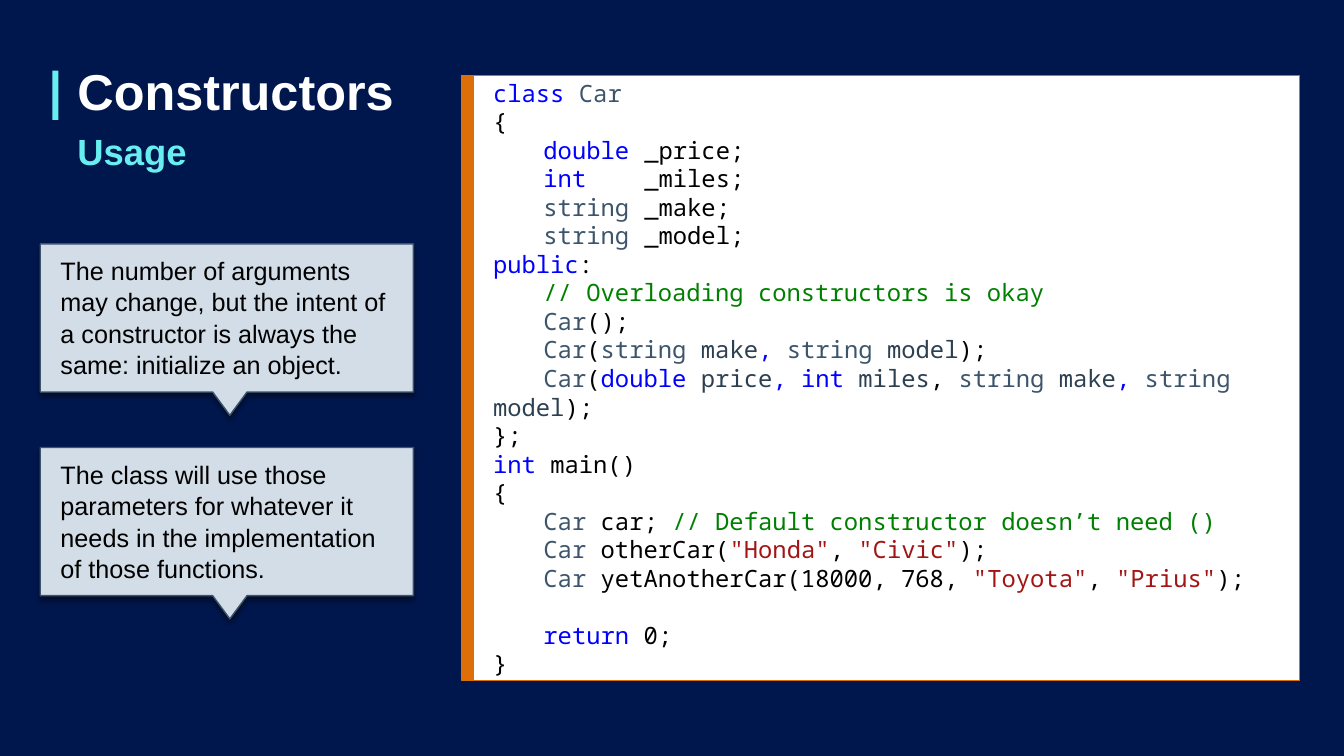
from lxml.etree import SubElement
from pptx import Presentation
from pptx.dml.color import RGBColor
from pptx.enum.shapes import MSO_SHAPE as Preset
from pptx.enum.text import MSO_ANCHOR as Anchor, PP_ALIGN as Align
from pptx.oxml.ns import qn
from pptx.util import Inches, Pt

# Grid: one cell is a tenth of an inch
COLUMNS, ROWS = 133.3, 75

COLORS = {
    "navy": "00174E", "aqua": "69EEF0", "white": "FFFFFF", "black": "000000",
    "orange": "DD6F08", "pale": "D3DDE7", "slate": "3C556C",
    "keyword": "0000FF", "type": "3C556C", "plain": "000000",
    "name": "2D4051", "comment": "008000", "string": "A31515",
}

FONTS = {
    "title": {"name": "Arial", "size": Pt(36), "bold": True},
    "subtitle": {"name": "Arial", "size": Pt(26), "bold": True},
    "callout": {"name": "Arial", "size": Pt(18)},
    "code": {"name": "Noto Sans Mono", "size": Pt(17)},
}
LINE_SPACING = {"title": 0.9, "subtitle": 0.9, "callout": 1.04, "code": Pt(20.4)}

HEADING_FRAME = {"word_wrap": True, "vertical_anchor": Anchor.MIDDLE}
CODE_FRAME = {**HEADING_FRAME, "margin_left": Inches(0.2), "margin_right": Inches(0.2),
              "margin_top": 0, "margin_bottom": 0}
CALLOUT_FRAME = {**CODE_FRAME, "margin_bottom": Inches(0.25)}

CODE_TABS = [Inches(0.5 * stop) for stop in (1, 2, 3)]

K, T, P, N, C, S = "keyword", "type", "plain", "name", "comment", "string"
CODE = [
    [(K, "class "), (T, "Car")],
    [(P, "{")],
    [(K, "\tdouble"), (P, "\t_price;")],
    [(K, "\tint"), (P, "\t\t_miles;")],
    [(T, "\tstring"), (P, "\t_make;")],
    [(T, "\tstring"), (P, "\t_model;")],
    [(K, "public"), (P, ":")],
    [(C, "\t// Overloading constructors is okay")],
    [(T, "\tCar"), (P, "();")],
    [(T, "\tCar"), (P, "("), (T, "string "), (N, "make"), (K, ", "),
     (T, "string "), (N, "model"), (P, ");")],
    [(T, "\tCar"), (P, "("), (K, "double "), (N, "price"), (K, ", int "),
     (N, "miles"), (P, ", "), (T, "string "), (N, "make"), (K, ", "),
     (T, "string "), (N, "model"), (P, ");")],
    [(P, "};")],
    [(K, "int"), (P, " main()")],
    [(P, "{")],
    [(T, "\tCar "), (P, "car; "), (C, "// Default constructor doesn’t need ()")],
    [(T, "\tCar "), (P, "otherCar("), (S, '"Honda"'), (P, ","),
     (S, ' "Civic"'), (P, ");")],
    [(T, "\tCar "), (P, "yetAnotherCar(18000, 768, "), (S, '"Toyota"'), (P, ","),
     (S, ' "Prius"'), (P, ");")],
    [(K, "\treturn"), (P, " 0;")],
    [(P, "}")],
]
RETURN_LINE = 17

CALLOUTS = [
    "The number of arguments may change, but the intent of a constructor "
    "is always the same: initialize an object.",
    "The class will use those parameters for whatever it needs in the "
    "implementation of those functions.",
]


def apply(target, values):
    for attribute, value in values.items():
        setattr(target, attribute, value)


def color(name):
    return RGBColor.from_string(COLORS[name])


class SlideBuilder:
    """Places styled elements on the current slide by grid cells."""

    def __init__(self, presentation):
        self.cell_width = presentation.slide_width / COLUMNS
        self.cell_height = presentation.slide_height / ROWS
        self.slide = presentation.slides.add_slide(presentation.slide_layouts[6])

    def point(self, column, row):
        return round(column * self.cell_width), round(row * self.cell_height)

    def background(self, fill):
        self.slide.background.fill.solid()
        self.slide.background.fill.fore_color.rgb = color(fill)

    def paint(self, shape, fill, line=None):
        shape.shadow.inherit = False
        shape.fill.solid()
        shape.fill.fore_color.rgb = color(fill)
        if line:
            shape.line.color.rgb = color(line)
            shape.line.width = Pt(1)
        else:
            shape.line.fill.background()

    def rectangle(self, column, row, columns, rows, fill, line=None):
        shape = self.slide.shapes.add_shape(
            Preset.RECTANGLE, *self.point(column, row), *self.point(columns, rows))
        self.paint(shape, fill, line)
        return shape

    def add_text(self, shape, lines, style, frame_format, tabs=(), gaps=None):
        frame = shape.text_frame
        apply(frame, frame_format)
        for index, line in enumerate(lines):
            paragraph = frame.add_paragraph() if index else frame.paragraphs[0]
            if tabs:
                tab_list = SubElement(paragraph._p.get_or_add_pPr(), qn("a:tabLst"))
                for stop in tabs:
                    SubElement(tab_list, qn("a:tab"), pos=str(stop), algn="l")
            paragraph.alignment = Align.LEFT
            paragraph.line_spacing = LINE_SPACING[style]
            if gaps and index in gaps:
                paragraph.space_before = gaps[index]
            for ink, text in line:
                run = paragraph.add_run()
                run.text = text
                apply(run.font, FONTS[style])
                run.font.color.rgb = color(ink)

    def heading(self, column, row, columns, rows, text, style, ink):
        box = self.slide.shapes.add_textbox(
            *self.point(column, row), *self.point(columns, rows))
        self.add_text(box, [[(ink, text)]], style, HEADING_FRAME)

    def callout(self, column, row, columns, rows, text):
        tip_rows, tip_half = 2.3, 1.7
        right, tip, base = column + columns, column + 18.8, row + rows - tip_rows
        corners = [(column, row), (right, row), (right, base), (tip + tip_half, base),
                   (tip, row + rows), (tip - tip_half, base), (column, base)]
        start, *others = [self.point(*corner) for corner in corners]
        builder = self.slide.shapes.build_freeform(*start)
        builder.add_line_segments(others, close=True)
        shape = builder.convert_to_shape()
        self.paint(shape, "pale", "slate")
        self.drop_shadow(shape)
        self.add_text(shape, [[("black", text)]], "callout", CALLOUT_FRAME)

    def drop_shadow(self, shape):
        effects = shape._element.spPr.find(qn("a:effectLst"))
        shadow = SubElement(effects, qn("a:outerShdw"), blurRad=str(Pt(4)),
                            dist=str(Pt(3)), dir="5400000", rotWithShape="0")
        ink = SubElement(shadow, qn("a:srgbClr"), val=COLORS["black"])
        SubElement(ink, qn("a:alpha"), val="40000")


def main():
    presentation = Presentation()
    presentation.slide_width, presentation.slide_height = Inches(13.33), Inches(7.5)
    builder = SlideBuilder(presentation)
    builder.background("navy")

    # Heading
    builder.rectangle(5.2, 7, 0.6, 4.9, "aqua")
    builder.heading(6.7, 6.1, 119, 6.5, "Constructors", "title", "white")
    builder.heading(6.7, 12.8, 119, 4.9, "Usage", "subtitle", "aqua")

    # Code panel; the gap stands for the empty line before return
    panel = builder.rectangle(46.9, 7.5, 82, 60, "white", "orange")
    builder.add_text(panel, CODE, "code", CODE_FRAME, CODE_TABS,
                     {RETURN_LINE: LINE_SPACING["code"]})
    builder.rectangle(45.8, 7.5, 1.1, 60, "orange", "orange")

    # Callouts
    for index, text in enumerate(CALLOUTS):
        builder.callout(4, 24.2 + 20.2 * index, 37, 17, text)

    presentation.save("out.pptx")


if __name__ == "__main__":
    main()
